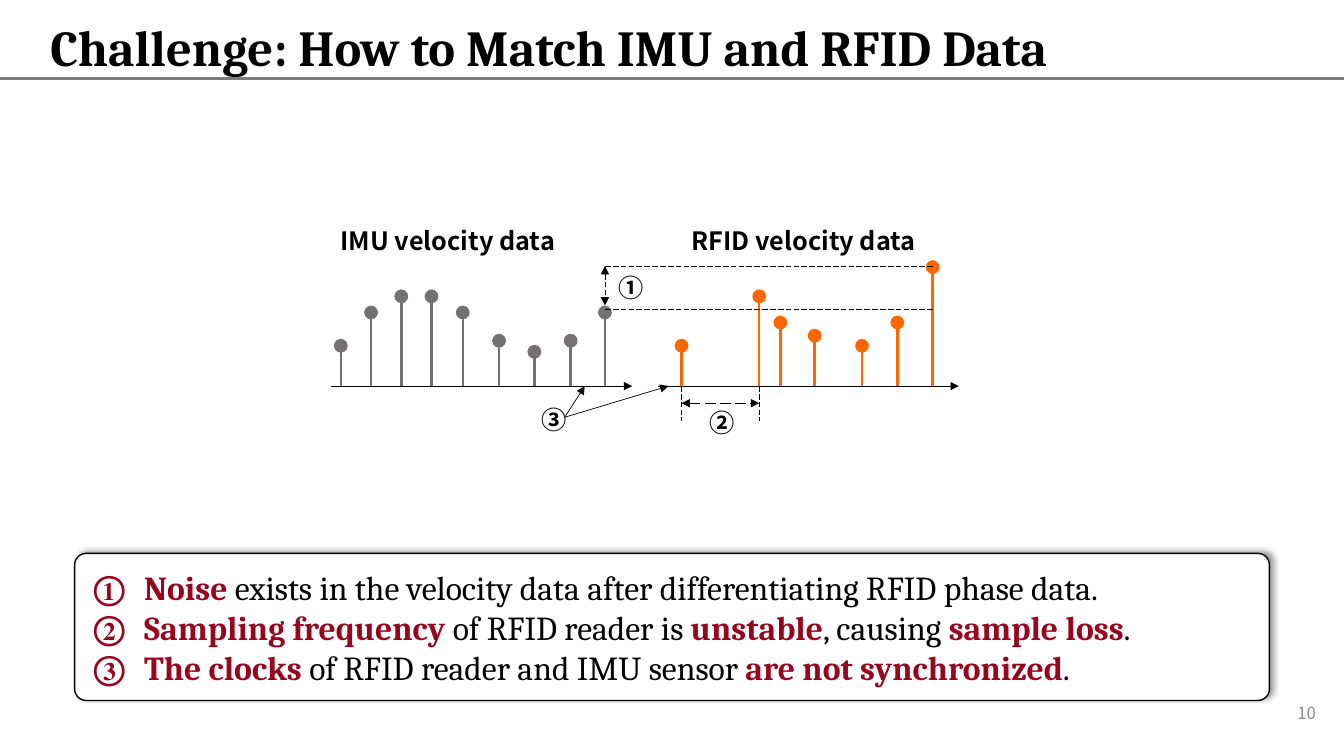
import pptx
import pptx.dml.color
import pptx.enum.dml
import pptx.enum.shapes
import pptx.enum.text
import pptx.oxml.ns
import pptx.util
from lxml import etree

Inches = pptx.util.Inches
Pt = pptx.util.Pt
qn = pptx.oxml.ns.qn
ALIGN = pptx.enum.text.PP_ALIGN
ANCHOR = pptx.enum.text.MSO_ANCHOR
AUTO_SIZE = pptx.enum.text.MSO_AUTO_SIZE
LONG_DASH = pptx.enum.dml.MSO_LINE.LONG_DASH

COLORS = {"ink": "000000", "paper": "FFFFFF", "rule": "7D7D7D", "number": "8C8C8C",
          "accent": "98061D", "imu": "767171", "rfid": "FF6600"}
SERIF = "Cambria"
SANS = "Noto Sans CJK SC"

IMU_STEMS = [(0.1, 0.4), (0.4, 0.73), (0.7, 0.89), (1.0, 0.89), (1.31, 0.73),
             (1.67, 0.45), (2.02, 0.34), (2.38, 0.45), (2.72, 0.73)]
RFID_STEMS = [(0.23, 0.4), (1.0, 0.89), (1.21, 0.63), (1.55, 0.5), (2.02, 0.4),
              (2.37, 0.63), (2.72, 1.18)]

FINDINGS = [
    [("Noise", True),
     (" exists in the velocity data after differentiating RFID phase data.", False)],
    [("Sampling frequency ", True), ("of RFID reader is ", False), ("unstable", True),
     (", causing ", False), ("sample loss", True), (".", False)],
    [("The clocks ", True), ("of RFID reader and IMU sensor ", False),
     ("are not synchronized", True), (".", False)],
]


def rgb(name):
    """Return the named palette colour."""
    return pptx.dml.color.RGBColor.from_string(COLORS[name])


def add_run(paragraph, text, color, **font_values):
    """Append a run with the given font values and colour."""
    run = paragraph.add_run()
    run.text = text
    for key, value in font_values.items():
        setattr(run.font, key, value)
    run.font.color.rgb = rgb(color)
    etree.SubElement(run.font._element, qn("a:ea"), typeface=font_values["name"])


def add_text_frame(slide, left, top, width, height, **frame_values):
    """Add a wrapping text box and return its text frame."""
    box = slide.shapes.add_textbox(Inches(left), Inches(top), Inches(width), Inches(height))
    frame = box.text_frame
    for key, value in {"word_wrap": True, **frame_values}.items():
        setattr(frame, key, value)
    return frame


def add_line(slide, start, end, color="ink", width=0.5, dash=None, head=None, tail=None,
             end_size="med"):
    """Draw a straight line with optional dash and line ends."""
    line = slide.shapes.add_connector(pptx.enum.shapes.MSO_CONNECTOR.STRAIGHT,
                                      *(Inches(value) for value in (*start, *end)))
    line.line.width = Pt(width)
    line.line.color.rgb = rgb(color)
    if dash:
        line.line.dash_style = dash
    outline = line.line._get_or_add_ln()
    for tag, kind in (("a:headEnd", head), ("a:tailEnd", tail)):
        if kind:
            etree.SubElement(outline, qn(tag), type=kind, w=end_size, len=end_size)
    etree.SubElement(line._element.spPr, qn("a:effectLst"))


def add_header(slide, left, top, width, height):
    """Place the title and the rule that crosses the slide."""
    add_line(slide, (0, top + 0.78), (13.33, top + 0.78), "rule", 2.25)
    frame = add_text_frame(slide, left, top, width, height, vertical_anchor=ANCHOR.MIDDLE)
    title = frame.paragraphs[0]
    title.line_spacing = 0.9
    add_run(title, "Challenge: How to Match IMU and RFID Data", "ink",
            name=SERIF, size=Pt(36), bold=True)


def add_page_number(slide, left, top, width, height):
    """Place the page number."""
    frame = add_text_frame(slide, left, top, width, height, vertical_anchor=ANCHOR.MIDDLE)
    number = frame.paragraphs[0]
    number.alignment = ALIGN.CENTER
    add_run(number, "10", "number", name=SANS, size=Pt(12))


def add_label(slide, left, top, width, text):
    """Place a bold diagram label."""
    frame = add_text_frame(slide, left, top, width, 0.4,
                           auto_size=AUTO_SIZE.SHAPE_TO_FIT_TEXT)
    add_run(frame.paragraphs[0], text, "ink", name=SANS, size=Pt(18), bold=True)


def add_stem_plot(slide, left, axis, length, stems, color):
    """Draw a time axis and the samples standing on it."""
    add_line(slide, (left, axis), (left + length, axis), width=0.75, tail="triangle")
    for offset, height in stems:
        x = left + offset
        add_line(slide, (x, axis), (x, axis - height), color, 1.75, tail="oval", end_size="lg")


def add_velocity_diagram(slide, left, top):
    """Draw both velocity plots and the three numbered mismatches."""
    axis = top + 1.64
    rfid_left = left + 3.25
    add_stem_plot(slide, left, axis, 2.99, IMU_STEMS, "imu")
    add_stem_plot(slide, rfid_left, axis, 2.98, RFID_STEMS, "rfid")
    add_label(slide, left, top, 2.5, "IMU velocity data")
    add_label(slide, rfid_left + 0.23, top, 2.73, "RFID velocity data")

    last_imu = left + IMU_STEMS[-1][0]
    last_rfid = rfid_left + RFID_STEMS[-1][0]
    for level in (axis - 1.19, axis - 0.76):
        add_line(slide, (last_imu, level), (last_rfid, level), dash=LONG_DASH)
    add_line(slide, (last_imu, axis - 1.19), (last_imu, axis - 0.8), dash=LONG_DASH,
             head="triangle", tail="triangle")
    add_label(slide, last_imu + 0.04, axis - 1.18, 0.54, "①")

    gap_start, gap_end = (rfid_left + offset for offset, _ in RFID_STEMS[:2])
    for x in (gap_start, gap_end):
        add_line(slide, (x, axis), (x, axis + 0.35), dash=LONG_DASH)
    add_line(slide, (gap_start, axis + 0.17), (gap_end, axis + 0.17), width=1,
             dash=LONG_DASH, head="triangle", tail="triangle")
    add_label(slide, gap_start + 0.18, axis + 0.16, 0.54, "②")

    add_label(slide, left + 1.99, axis + 0.13, 0.54, "③")
    for target in (left + 2.52, rfid_left + 0.1):
        add_line(slide, (left + 2.32, axis + 0.31), (target, axis), tail="triangle")


def add_findings(slide, left, top, width, height):
    """Place the shadowed panel with the numbered findings."""
    panel = slide.shapes.add_shape(pptx.enum.shapes.MSO_SHAPE.ROUNDED_RECTANGLE,
                                   Inches(left), Inches(top), Inches(width), Inches(height))
    panel.adjustments[0] = 0.078
    panel.fill.solid()
    panel.fill.fore_color.rgb = rgb("paper")
    panel.line.color.rgb = rgb("ink")
    panel.line.width = Pt(1)
    panel.shadow.inherit = False
    effects = panel._element.spPr.find(qn("a:effectLst"))
    shadow = etree.SubElement(effects, qn("a:outerShdw"), blurRad=str(Pt(4)),
                              dist=str(Pt(3)), dir=str(315 * 60000), algn="bl",
                              rotWithShape="0")
    tint = etree.SubElement(shadow, qn("a:srgbClr"), val=COLORS["ink"])
    etree.SubElement(tint, qn("a:alpha"), val="40000")

    frame = add_text_frame(slide, left + 0.19, top + 0.13, width - 0.19, height - 0.25,
                           margin_left=0, margin_right=0, margin_top=0, margin_bottom=0,
                           auto_size=AUTO_SIZE.SHAPE_TO_FIT_TEXT)
    for index, finding in enumerate(FINDINGS):
        paragraph = frame.add_paragraph() if index else frame.paragraphs[0]
        properties = paragraph._p.get_or_add_pPr()
        properties.set("marL", str(Inches(0.5)))
        properties.set("indent", str(-Inches(0.5)))
        bullet_color = etree.SubElement(properties, qn("a:buClr"))
        etree.SubElement(bullet_color, qn("a:srgbClr"), val=COLORS["accent"])
        etree.SubElement(properties, qn("a:buAutoNum"), type="circleNumDbPlain")
        for text, stressed in finding:
            add_run(paragraph, text, "accent" if stressed else "ink",
                    name=SERIF, size=Pt(24), bold=stressed)


def main():
    """Build the slide and save it."""
    deck = pptx.Presentation()
    deck.slide_width = Inches(13.33)
    deck.slide_height = Inches(7.5)
    slide = deck.slides.add_slide(deck.slide_layouts[6])
    add_header(slide, 0.4, 0, 11.99, 0.99)
    add_page_number(slide, 12.59, 6.95, 0.74, 0.25)
    add_findings(slide, 0.74, 5.49, 11.85, 1.46)
    add_velocity_diagram(slide, 3.28, 2.19)
    deck.save("out.pptx")


if __name__ == "__main__":
    main()
